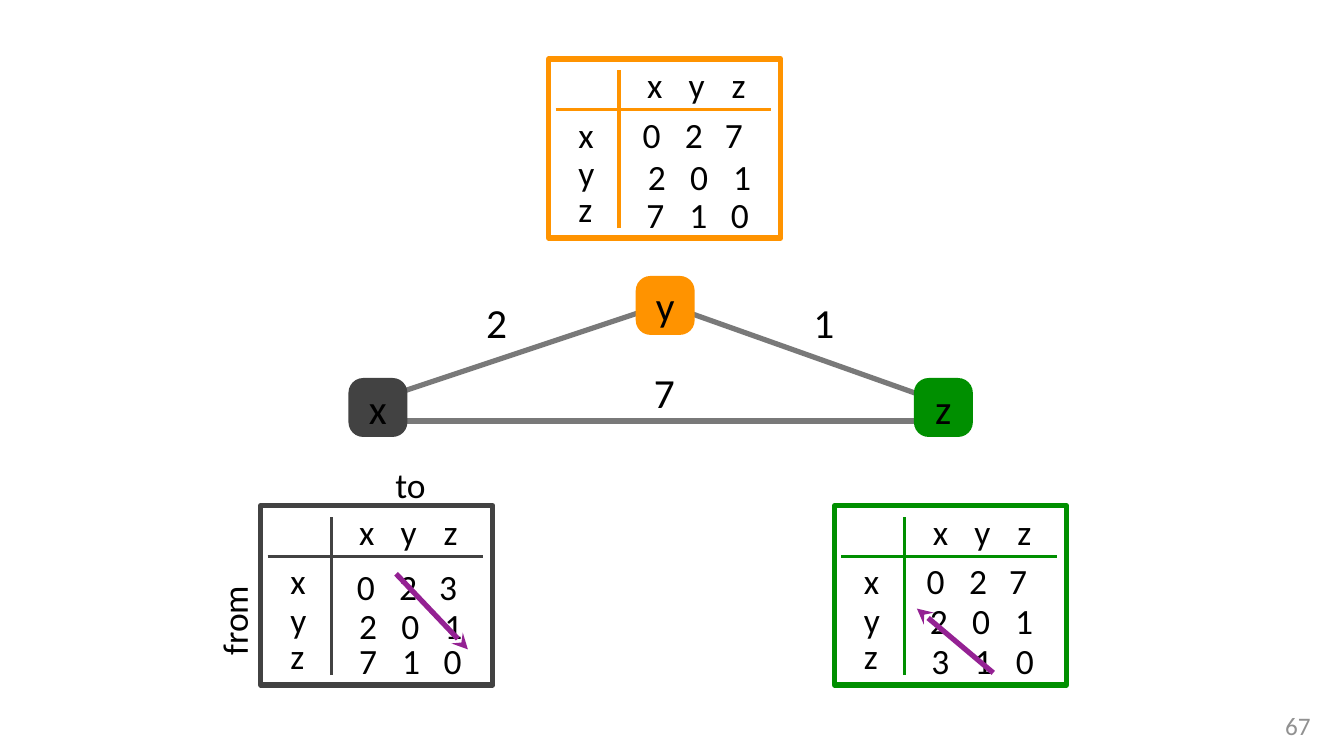
from lxml.etree import SubElement
from pptx import Presentation
from pptx.dml.color import RGBColor
from pptx.enum.shapes import MSO_CONNECTOR, MSO_SHAPE
from pptx.enum.text import MSO_ANCHOR, PP_ALIGN
from pptx.oxml.ns import qn
from pptx.util import Inches, Pt

FONT = "Calibri"
BLACK = RGBColor(0x00, 0x00, 0x00)
GRAY = RGBColor(0x79, 0x79, 0x79)
PALE_GRAY = RGBColor(0x91, 0x91, 0x91)
CHARCOAL = RGBColor(0x42, 0x42, 0x42)
ORANGE = RGBColor(0xFF, 0x93, 0x00)
GREEN = RGBColor(0x00, 0x8F, 0x00)
PURPLE = RGBColor(0x94, 0x21, 0x93)

TABLE_SIZE = 33.8
GRAPH_SIZE = 39.4
NODE_SIDE = 0.78
NAMES = "xyz"
HEADER_LEFTS = (1.25, 1.8, 2.37)
LABEL_TOPS = (0.65, 1.16, 1.64)
COST_STEPS = ((0, 0.56, 1.09), (0, 0.56, 1.13), (0, 0.57, 1.12))


def write(frame, text, size, color=BLACK, align=None, inset=0.05,
          anchor=MSO_ANCHOR.MIDDLE, wrap=True):
    frame.word_wrap = wrap
    frame.vertical_anchor = anchor
    frame.margin_left = frame.margin_right = Inches(inset)
    frame.margin_top = frame.margin_bottom = Inches(inset)
    para = frame.paragraphs[0]
    para.alignment = align
    span = para.add_run()
    span.text = text
    span.font.name = FONT
    span.font.size = Pt(size)
    span.font.color.rgb = color


def add_text(page, text, left, top, width, height, size=TABLE_SIZE, **style):
    box = page.shapes.add_textbox(Inches(left), Inches(top), Inches(width), Inches(height))
    write(box.text_frame, text, size, **style)
    return box


def add_line(page, start, end, color, weight, arrow=False):
    line = page.shapes.add_connector(
        MSO_CONNECTOR.STRAIGHT, *(Inches(value) for value in (*start, *end)))
    line.line.color.rgb = color
    line.line.width = Pt(weight)
    properties = line._element.spPr
    if arrow:
        SubElement(properties.find(qn("a:ln")), qn("a:headEnd"), type="stealth")
    SubElement(properties, qn("a:effectLst"))


def add_node(page, name, left, top, color):
    node = page.shapes.add_shape(
        MSO_SHAPE.ROUNDED_RECTANGLE, Inches(left), Inches(top),
        Inches(NODE_SIDE), Inches(NODE_SIDE))
    node.adjustments[0] = 0.25
    node.shadow.inherit = False
    node.fill.solid()
    node.fill.fore_color.rgb = color
    node.line.fill.background()
    write(node.text_frame, name, GRAPH_SIZE, align=PP_ALIGN.CENTER, inset=0)


def add_graph(page, left, top):
    edges = (
        ((3.95, 0.45), (0.59, 1.57), "2", (1.77, 0.23)),
        ((0.69, 1.92), (7.78, 1.92), "7", (3.99, 1.15)),
        ((4.4, 0.45), (7.78, 1.65), "1", (6.1, 0.23)),
    )
    for start, end, cost, spot in edges:
        add_line(page, (left + start[0], top + start[1]),
                 (left + end[0], top + end[1]), GRAY, 5)
        add_text(page, cost, left + spot[0], top + spot[1], 0.39, 0.77, GRAPH_SIZE)
    add_node(page, "x", left, top + 1.35, CHARCOAL)
    add_node(page, "y", left + 3.8, top, ORANGE)
    add_node(page, "z", left + 7.48, top + 1.35, GREEN)


def add_distance_table(page, left, top, color, costs, row_starts):
    border = page.shapes.add_shape(
        MSO_SHAPE.RECTANGLE, Inches(left), Inches(top), Inches(3.07), Inches(2.37))
    border.shadow.inherit = False
    border.fill.background()
    border.line.color.rgb = color
    border.line.width = Pt(5)
    add_line(page, (left + 0.09, top + 0.67), (left + 2.94, top + 0.67), color, 3)
    add_line(page, (left + 0.93, top + 2.24), (left + 0.93, top + 0.15), color, 3)
    for name, header_left, label_top in zip(NAMES, HEADER_LEFTS, LABEL_TOPS):
        add_text(page, name, left + header_left, top + 0.03, 0.39, 0.61)
        add_text(page, name, left + 0.34, top + label_top, 0.35, 0.68)
    for row, (row_left, row_top), steps in zip(costs, row_starts, COST_STEPS):
        for cost, step in zip(row, steps):
            add_text(page, cost, left + row_left + step, top + row_top, 0.29, 0.68)


def add_axis_names(page, left, top):
    add_text(page, "to", left + 1.73, top - 0.63, 0.68, 0.68)
    source = add_text(page, "from", left - 0.9, top + 1.15, 1.08, 0.68)
    source.rotation = 270


def add_page_number(page, left, top):
    add_text(page, "67", left, top, 0.46, 0.5, 24, color=PALE_GRAY,
             align=PP_ALIGN.CENTER, inset=0, anchor=MSO_ANCHOR.TOP, wrap=False)


def main():
    deck = Presentation()
    deck.slide_width = Inches(17.78)
    deck.slide_height = Inches(10)
    page = deck.slides.add_slide(deck.slide_layouts[6])

    add_graph(page, 4.61, 3.65)
    add_distance_table(page, 7.26, 0.78, ORANGE, ("027", "201", "710"),
                       ((1.19, 0.65), (1.26, 1.21), (1.24, 1.72)))
    add_distance_table(page, 3.45, 6.69, CHARCOAL, ("023", "201", "710"),
                       ((1.22, 0.72), (1.25, 1.24), (1.25, 1.7)))
    add_distance_table(page, 11.04, 6.69, GREEN, ("027", "201", "310"),
                       ((1.17, 0.65), (1.21, 1.17), (1.23, 1.7)))
    add_axis_names(page, 3.45, 6.69)
    add_line(page, (6.19, 8.59), (5.24, 7.59), PURPLE, 5, arrow=True)
    add_line(page, (12.13, 8.05), (13.14, 8.9), PURPLE, 5, arrow=True)
    add_page_number(page, 16.94, 9.39)

    deck.save("out.pptx")


if __name__ == "__main__":
    main()
